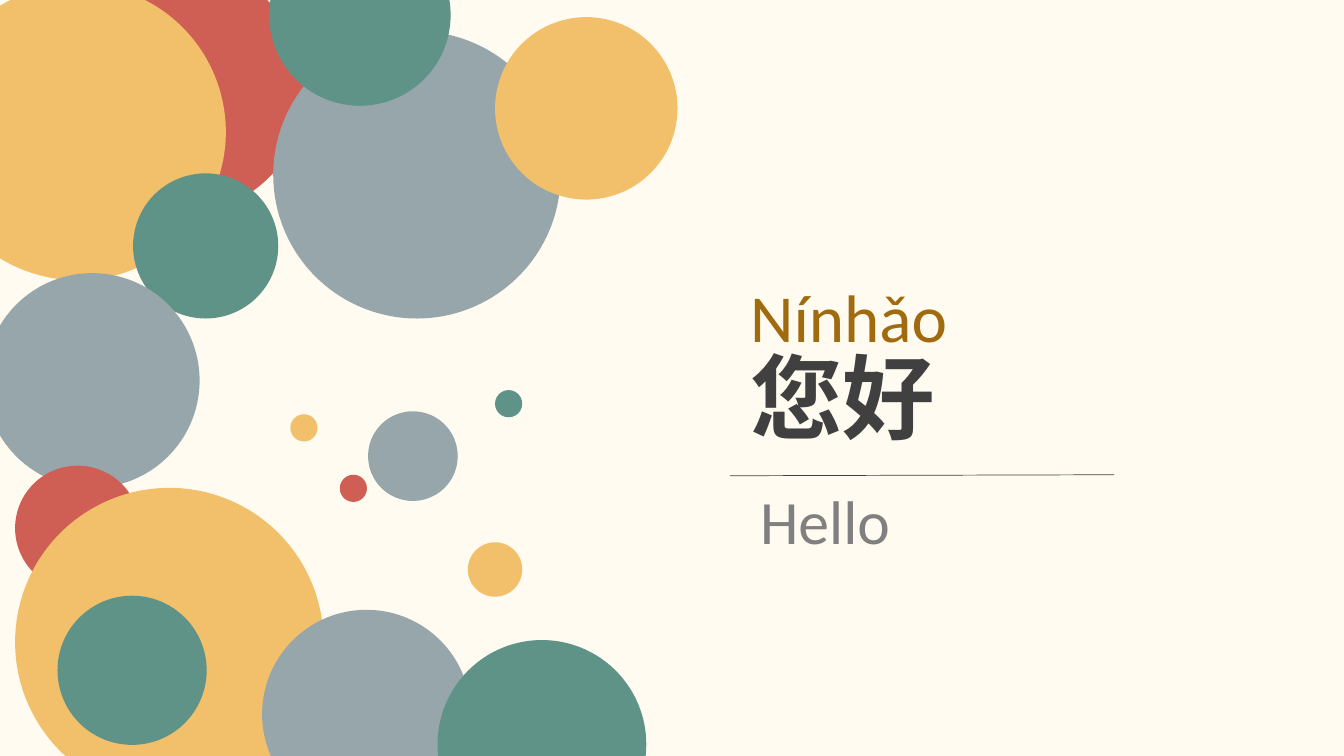
from lxml.etree import SubElement
from pptx import Presentation
from pptx.dml.color import RGBColor
from pptx.enum.shapes import MSO_CONNECTOR, MSO_SHAPE
from pptx.enum.text import MSO_ANCHOR, MSO_AUTO_SIZE, PP_ALIGN
from pptx.oxml.ns import qn
from pptx.util import Pt

EMU_PER_PX = 9144
TITLE_ONLY_LAYOUT = 5

COLOURS = {
    "cream": "FFFBF0",
    "red": "CF5F55",
    "yellow": "F2C06B",
    "green": "5F9387",
    "slate": "97A6AB",
    "brown": "A06A0E",
    "charcoal": "404040",
    "grey": "808080",
}

CIRCLES = [
    (57, -34, 246, "red"),
    (-70, -16, 294, "yellow"),
    (132, 172, 144, "green"),
    (-15, 271, 213, "slate"),
    (271, 31, 285, "slate"),
    (267, -75, 180, "green"),
    (15, 462, 124, "red"),
    (15, 484, 306, "yellow"),
    (57, 591, 148, "green"),
    (260, 605, 207, "slate"),
    (434, 635, 207, "green"),
    (365, 408, 89, "slate"),
    (337, 471, 27, "red"),
    (288, 411, 27, "yellow"),
    (491, 387, 27, "green"),
    (464, 538, 54, "yellow"),
    (491, 17, 181, "yellow"),
]


def px(length):
    return length * EMU_PER_PX


def colour(name):
    return RGBColor.from_string(COLOURS[name])


def add_circle(slide, left, top, diameter, fill):
    shape = slide.shapes.add_shape(
        MSO_SHAPE.OVAL, px(left), px(top), px(diameter), px(diameter))
    shape.shadow.inherit = False
    shape.fill.solid()
    shape.fill.fore_color.rgb = colour(fill)
    shape.line.fill.background()


def add_rule(slide, start, end):
    connector = slide.shapes.add_connector(
        MSO_CONNECTOR.STRAIGHT, *map(px, start + end))
    connector.line.color.rgb = colour("charcoal")
    connector.line.width = Pt(0.5)
    SubElement(connector._element.spPr, qn("a:effectLst"))


def place_text(shape, left, top, width, height):
    shape.left, shape.top = px(left), px(top)
    shape.width, shape.height = px(width), px(height)
    frame = shape.text_frame
    frame.word_wrap = True
    frame.vertical_anchor = MSO_ANCHOR.TOP
    frame.auto_size = MSO_AUTO_SIZE.SHAPE_TO_FIT_TEXT
    return frame


def add_text(paragraph, text, size, font_name, fill, bold=False):
    paragraph.alignment = PP_ALIGN.LEFT
    run = paragraph.add_run()
    run.text = text
    run.font.size = Pt(size)
    run.font.name = font_name
    run.font.bold = bold
    run.font.color.rgb = colour(fill)
    SubElement(run.font._element, qn("a:ea"), typeface=font_name)


def add_greeting(slide):
    frame = place_text(slide.shapes.title, 734, 268, 492, 202)
    add_text(frame.paragraphs[0], "Nínhǎo", 48, "Calibri", "brown")
    characters = frame.add_paragraph()
    characters.line_spacing = 0.86
    add_text(characters, "您好", 66, "Noto Sans CJK SC", "charcoal", bold=True)


def add_translation(slide):
    frame = place_text(slide.shapes.add_textbox(0, 0, 0, 0), 744, 474, 472, 84)
    add_text(frame.paragraphs[0], "Hello", 44, "Calibri", "grey")


def main():
    presentation = Presentation()
    presentation.slide_width = px(1333)
    presentation.slide_height = px(750)
    slide = presentation.slides.add_slide(
        presentation.slide_layouts[TITLE_ONLY_LAYOUT])
    slide.background.fill.solid()
    slide.background.fill.fore_color.rgb = colour("cream")
    for circle in CIRCLES:
        add_circle(slide, *circle)
    add_greeting(slide)
    add_rule(slide, (724, 472), (1105, 471))
    add_translation(slide)
    presentation.save("out.pptx")


if __name__ == "__main__":
    main()
